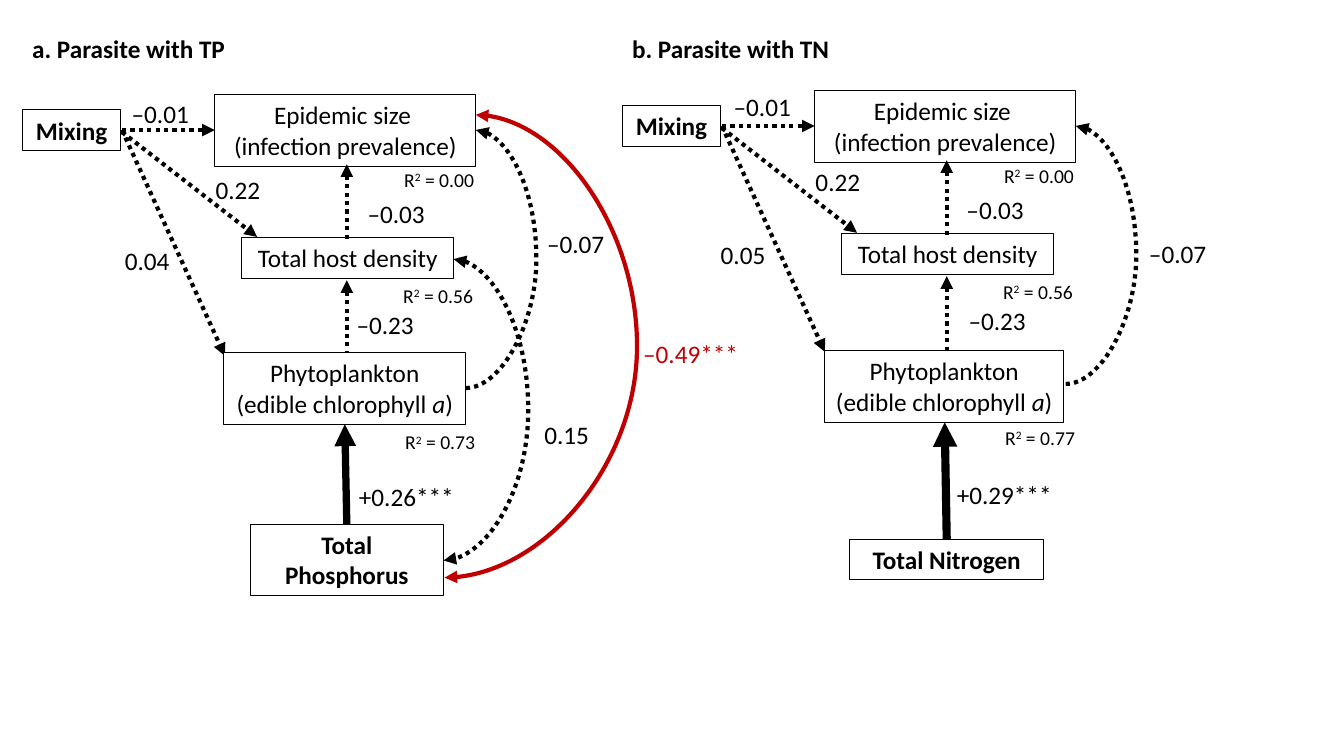
from dataclasses import dataclass
from lxml.etree import SubElement
from pptx import Presentation
from pptx.dml.color import RGBColor
from pptx.enum.shapes import MSO_CONNECTOR as Link, MSO_SHAPE as Kind
from pptx.enum.text import MSO_ANCHOR as Anchor, MSO_AUTO_SIZE as Fit, PP_ALIGN as Align
from pptx.oxml.ns import qn
from pptx.util import Inches, Pt

BLACK = RGBColor(0, 0, 0)
WHITE = RGBColor(255, 255, 255)
RED = RGBColor(0xC0, 0, 0)
ONE, TWO = 0.4, 0.71  # heights of one-line and two-line boxes


@dataclass
class Run:
    """A piece of text with its own style."""
    text: str
    bold: bool = False
    italic: bool = False
    raised: bool = False


@dataclass
class Box:
    """A framed node of the path diagram."""
    x: float
    y: float
    w: float
    h: float
    lines: list[list[Run]]
    filled: bool = False


@dataclass
class Label:
    """A coefficient, placed by its middle and top."""
    mid: float
    y: float
    text: str
    color: RGBColor = BLACK


@dataclass
class Arrow:
    """A path from one point to another; bulge is the x of a curve's bend."""
    x1: float
    y1: float
    x2: float
    y2: float
    bulge: float | None = None
    both: bool = False
    dotted: bool = True
    width: float = 3
    color: RGBColor = BLACK


@dataclass
class Panel:
    """One diagram: its offset, nutrient and values."""
    dx: float
    dy: float
    title: str
    source: Box
    phyto: tuple[float, float, float]
    stem: Arrow
    fits: list[str]
    labels: list[Label]
    extra: list[Arrow]


def write(shape, lines: list[list[Run]], size: float = 18,
          align: Align = Align.CENTER, color: RGBColor = BLACK) -> None:
    """Fill a shape with styled paragraphs."""
    frame = shape.text_frame
    form = {"word_wrap": True, "auto_size": Fit.SHAPE_TO_FIT_TEXT}
    for key, val in form.items():
        setattr(frame, key, val)
    for i, line in enumerate(lines):
        para = frame.add_paragraph() if i else frame.paragraphs[0]
        para.alignment = align
        for part in line:
            run = para.add_run()
            run.text = part.text
            form = {"name": "Calibri", "size": Pt(size),
                    "bold": part.bold, "italic": part.italic}
            for key, val in form.items():
                setattr(run.font, key, val)
            run.font.color.rgb = color
            if part.raised:
                run._r.get_or_add_rPr().set("baseline", "30000")


def put_text(x: float, y: float, w: float, h: float, line: list[Run], **form) -> None:
    """Add a plain text box."""
    box = slide.shapes.add_textbox(Inches(x), Inches(y), Inches(w), Inches(h))
    write(box, [line], **form)


def put_label(label: Label) -> None:
    """Add a coefficient centred on its middle."""
    wide = 1.24
    put_text(label.mid - wide / 2, label.y, wide, ONE, [Run(label.text)],
             color=label.color)


def put_box(box: Box, dx: float, dy: float) -> None:
    """Add a node with a thin black frame."""
    node = slide.shapes.add_shape(Kind.RECTANGLE, Inches(box.x + dx), Inches(box.y + dy),
                                  Inches(box.w), Inches(box.h))
    node.shadow.inherit = False
    if box.filled:
        node.fill.solid()
        node.fill.fore_color.rgb = WHITE
    else:
        node.fill.background()
    node.line.color.rgb = BLACK
    node.line.width = Pt(0.75)
    node.text_frame.vertical_anchor = Anchor.TOP
    write(node, box.lines)


def put_arrow(arrow: Arrow, dx: float = 0, dy: float = 0) -> None:
    """Add a straight or curved arrow."""
    kind = Link.STRAIGHT if arrow.bulge is None else Link.CURVE
    link = slide.shapes.add_connector(kind, Inches(arrow.x1 + dx), Inches(arrow.y1 + dy),
                                      Inches(arrow.x2 + dx), Inches(arrow.y2 + dy))
    link.line.color.rgb = arrow.color
    link.line.width = Pt(arrow.width)
    props = link._element.spPr
    if arrow.bulge is not None:
        bend = round((arrow.bulge - arrow.x1) / (arrow.x2 - arrow.x1) * 100000)
        geom = props.find(qn("a:prstGeom"))
        guides = geom.find(qn("a:avLst"))
        if guides is None:
            guides = SubElement(geom, qn("a:avLst"))
        SubElement(guides, qn("a:gd"), name="adj1", fmla=f"val {bend}")
    stroke = props.find(qn("a:ln"))
    if arrow.dotted:
        SubElement(stroke, qn("a:prstDash"), val="sysDot")
    if arrow.both:
        SubElement(stroke, qn("a:headEnd"), type="triangle")
    SubElement(stroke, qn("a:tailEnd"), type="triangle")
    SubElement(props, qn("a:effectLst"))


def put_panel(panel: Panel) -> None:
    """Draw one path diagram."""
    dx, dy = panel.dx, panel.dy
    put_text(0.22 + dx, 0.28, 4.11, ONE, [Run(panel.title, bold=True)], align=Align.LEFT)
    for arrow in PATHS:
        put_arrow(arrow, dx, dy)
    for arrow in [panel.stem, *panel.extra]:
        put_arrow(arrow)
    for box in NODES:
        put_box(box, dx, dy)
    x, y, wide = panel.phyto
    put_box(Box(x, y, wide, TWO, PHYTO, True), 0, 0)
    put_box(panel.source, 0, 0)
    for (x, y), fit in zip(FITS, panel.fits):
        put_text(x + dx, y + dy, 0.92, 0.34,
                 [Run("R"), Run("2", raised=True), Run(f" = {fit}")],
                 size=14, align=Align.LEFT)
    for label in panel.labels:
        put_label(label)


PHYTO = [[Run("Phytoplankton")],
         [Run("(edible chlorophyll "), Run("a", italic=True), Run(")")]]
NODES = [
    Box(2.13, 0.94, 2.59, TWO, [[Run("Epidemic size ")], [Run("(infection prevalence)")]]),
    Box(2.4, 2.36, 2.1, ONE, [[Run("Total host density")]]),
    Box(0.22, 1.09, 0.98, ONE, [[Run("Mixing", bold=True)]], True),
]
PATHS = [
    Arrow(3.44, 3.52, 3.44, 2.78), Arrow(3.44, 2.37, 3.44, 1.63),
    Arrow(1.21, 1.29, 2.13, 1.29), Arrow(1.21, 1.31, 2.55, 2.35),
    Arrow(1.21, 1.29, 2.23, 3.53), Arrow(4.62, 3.85, 4.72, 1.29, 5.32),
]
FITS = [(3.91, 1.62), (3.9, 2.77), (3.92, 4.22)]
PANELS = [
    Panel(0, 0, "a. Parasite with TP",
          Box(2.48, 5.2, 1.92, TWO, [[Run("Total Phosphorus", bold=True)]]),
          (2.22, 3.5, 2.4), Arrow(3.44, 5.2, 3.42, 4.21, dotted=False, width=5.2),
          ["0.00", "0.56", "0.73"],
          [Label(1.59, 0.93, "–0.01"), Label(2.36, 1.68, "0.22"), Label(1.46, 2.38, "0.04"),
           Label(3.93, 1.92, "–0.03"), Label(3.82, 3.02, "–0.23"), Label(4.03, 4.73, "+0.26***"),
           Label(5.71, 2.22, "–0.07"), Label(5.62, 4.11, "0.15"),
           Label(6.85, 3.31, "–0.49***", RED)],
          [Arrow(4.5, 2.57, 4.4, 5.56, 5.24, both=True),
           Arrow(4.72, 1.14, 4.41, 5.73, 6.32, both=True, dotted=False, color=RED)]),
    Panel(5.95, -0.04, "b. Parasite with TN",
          Box(8.43, 5.35, 1.92, ONE, [[Run("Total Nitrogen", bold=True)]]),
          (8.18, 3.48, 2.37), Arrow(9.39, 5.35, 9.37, 4.19, dotted=False, width=5.8),
          ["0.00", "0.56", "0.77"],
          [Label(7.56, 0.86, "–0.01"), Label(8.31, 1.6, "0.22"), Label(7.37, 2.33, "0.05"),
           Label(9.87, 1.88, "–0.03"), Label(9.89, 2.98, "–0.23"), Label(9.96, 4.71, "+0.29***"),
           Label(11.68, 2.32, "–0.07")],
          []),
]

deck = Presentation()
deck.slide_width, deck.slide_height = Inches(13.33), Inches(7.5)
slide = deck.slides.add_slide(deck.slide_layouts[6])
for panel in PANELS:
    put_panel(panel)
deck.save("out.pptx")
